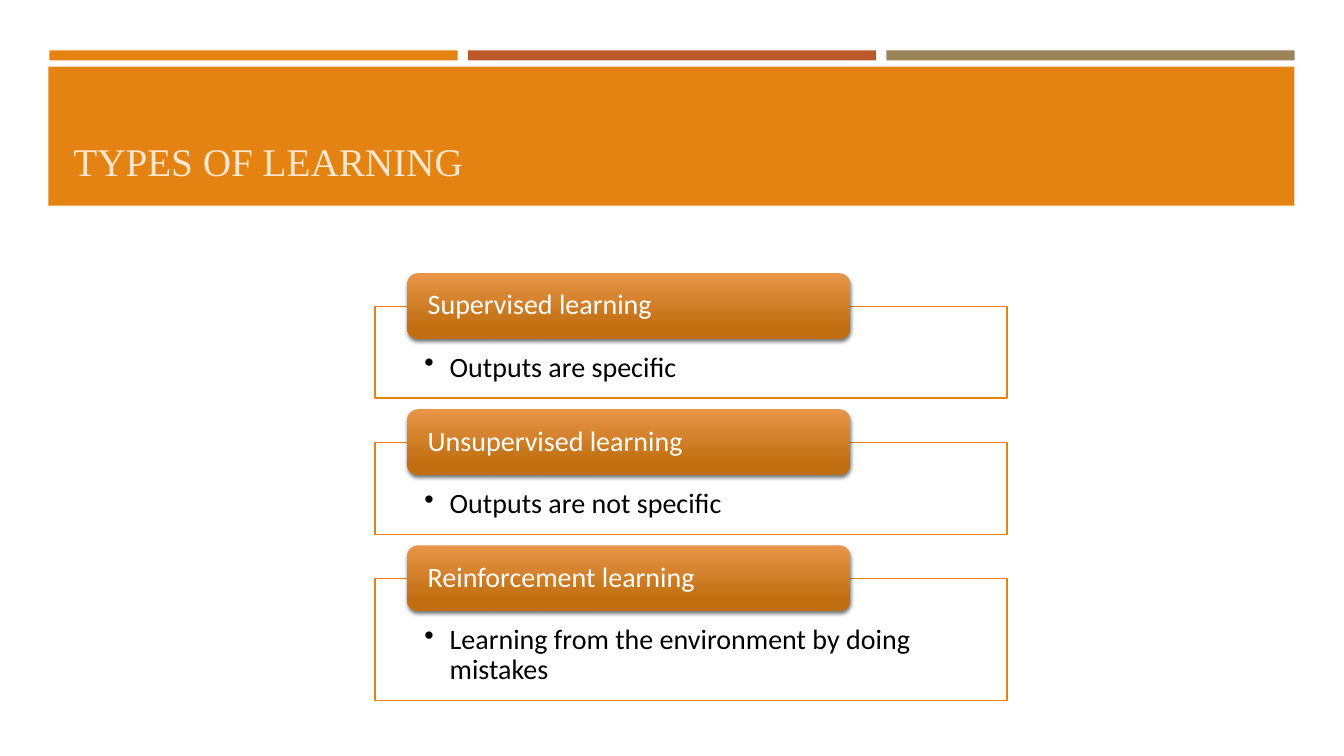
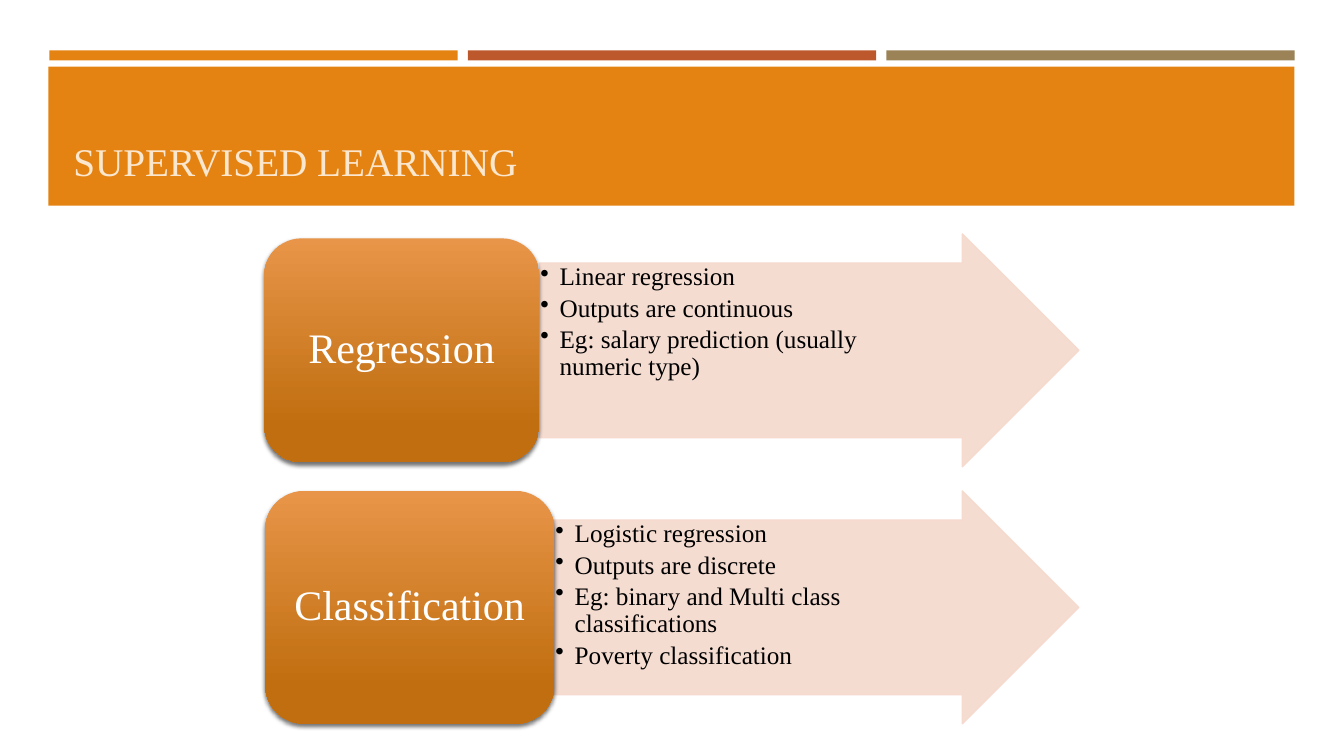
"""Build two slides on the types of machine learning."""
from dataclasses import dataclass

from lxml import etree
from pptx import Presentation
from pptx import util as u
from pptx.dml.color import RGBColor
from pptx.enum import shapes, text
from pptx.oxml.ns import qn
from pptx.shapes.autoshape import Shape
from pptx.slide import Slide

COLORS = {
    "orange": "E48312",
    "rust": "BD582C",
    "olive": "9B8357",
    "cream": "FBE6CE",
    "light": "E89549",
    "dark": "C06E0F",
    "blush": "F5D9CC",
    "white": "FFFFFF",
    "black": "000000",
}
SERIF, SANS = "Times New Roman", "Calibri"
KIND = shapes.MSO_SHAPE
ANCHOR = text.MSO_ANCHOR
ALIGN = text.PP_ALIGN


@dataclass(frozen=True)
class Area:
    left: float
    top: float
    width: float
    height: float

    def lengths(self) -> list[u.Length]:
        return [u.Inches(v) for v in (self.left, self.top, self.width, self.height)]


@dataclass(frozen=True)
class TextStyle:
    font: str
    size: int
    color: str
    insets: tuple[float, float, float, float] = (0.1, 0.05, 0.1, 0.05)
    anchor: ANCHOR = ANCHOR.TOP
    align: ALIGN = ALIGN.LEFT
    spacing: float = 0.9
    after: int = 0
    indent: float = 0


@dataclass(frozen=True)
class LearningType:
    name: str
    detail: str
    height: float


@dataclass(frozen=True)
class Method:
    name: str
    points: tuple[str, ...]
    block_left: float
    block_width: float
    block_height: float


TITLE = TextStyle(SERIF, 28, "cream", anchor=ANCHOR.BOTTOM, spacing=1)
TAB = TextStyle(SANS, 20, "white", (0.17, 0, 0.17, 0), ANCHOR.MIDDLE)
DETAIL = TextStyle(SANS, 20, "black", (0.49, 0.46, 0.49, 0.16), indent=0.25)
BLOCK = TextStyle(SERIF, 30, "white", (0.12, 0.06, 0.12, 0.06), ANCHOR.MIDDLE, ALIGN.CENTER)
POINTS = TextStyle(SERIF, 18, "black", (0.01, 0.01, 0.58, 0.01), after=3, indent=0.19)

LEARNING_TYPES = (
    LearningType("Supervised learning", "Outputs are specific", 0.91),
    LearningType("Unsupervised learning", "Outputs are not specific", 0.91),
    LearningType("Reinforcement learning", "Learning from the environment by doing mistakes", 1.21),
)
METHODS = (
    Method(
        "Regression",
        ("Linear regression", "Outputs are continuous", "Eg: salary prediction (usually numeric type)"),
        2.62, 2.73, 2.22,
    ),
    Method(
        "Classification",
        (
            "Logistic regression",
            "Outputs are discrete",
            "Eg: binary and Multi class classifications",
            "Poverty classification",
        ),
        2.63, 2.87, 2.31,
    ),
)


def rgb(name: str) -> RGBColor:
    return RGBColor.from_string(COLORS[name])


def write(box: Shape, lines: tuple[str, ...], style: TextStyle) -> None:
    frame = box.text_frame
    frame.word_wrap = True
    frame.vertical_anchor = style.anchor
    frame.margin_left, frame.margin_top, frame.margin_right, frame.margin_bottom = (
        u.Inches(inset) for inset in style.insets
    )
    frame.text = "\n".join(lines)
    for para in frame.paragraphs:
        para.alignment = style.align
        para.line_spacing = style.spacing
        para.space_after = u.Pt(style.after)
        if style.indent:
            properties = para._p.get_or_add_pPr()
            properties.set("marL", str(u.Inches(style.indent)))
            properties.set("indent", str(-u.Inches(style.indent)))
            etree.SubElement(properties, qn("a:buChar"), char="•")
        para.font.name = style.font
        para.font.size = u.Pt(style.size)
        para.font.color.rgb = rgb(style.color)


def add_box(page: Slide, kind: KIND, area: Area, fill: str, line: str | None = None) -> Shape:
    box = page.shapes.add_shape(kind, *area.lengths())
    box.shadow.inherit = False
    box.fill.solid()
    box.fill.fore_color.rgb = rgb(fill)
    if line:
        box.line.color.rgb = rgb(line)
        box.line.width = u.Pt(1)
    else:
        box.line.fill.background()
    return box


def add_glossy_box(page: Slide, area: Area, label: str, style: TextStyle) -> None:
    box = add_box(page, KIND.ROUNDED_RECTANGLE, area, "dark")
    box.fill.gradient()
    box.fill.gradient_angle = 270
    for stop, color, position in zip(box.fill.gradient_stops, ("light", "dark"), (0, 0.84)):
        stop.color.rgb = rgb(color)
        stop.position = position
    effects = box._element.spPr.find(qn("a:effectLst"))
    shadow = etree.SubElement(
        effects, qn("a:outerShdw"), blurRad=str(u.Pt(3)), dist=str(u.Pt(2)), dir="5400000", rotWithShape="0"
    )
    tint = etree.SubElement(shadow, qn("a:srgbClr"), val=COLORS["black"])
    etree.SubElement(tint, qn("a:alpha"), val="55000")
    write(box, (label,), style)


def add_arrow(page: Slide, area: Area, points: tuple[str, ...]) -> None:
    arrow = add_box(page, KIND.RIGHT_ARROW, area, "blush", "blush")
    arrow.adjustments[0] = 0.75
    arrow.adjustments[1] = 0.5
    for color in arrow._element.spPr.iter(qn("a:srgbClr")):
        etree.SubElement(color, qn("a:alpha"), val="90000")
    write(arrow, points, POINTS)


def add_page(deck: Presentation, title: str) -> Slide:
    page = deck.slides.add_slide(deck.slide_layouts[6])
    for index, color in enumerate(("orange", "rust", "olive")):
        add_box(page, KIND.RECTANGLE, Area(0.49 + 4.15 * index, 0.5, 4.05, 0.1), color)
    add_box(page, KIND.RECTANGLE, Area(0.48, 0.66, 12.36, 1.38), "orange")
    write(page.shapes.add_textbox(*Area(0.63, 0.8, 12.06, 1.08).lengths()), (title,), TITLE)
    return page


def add_types_page(deck: Presentation) -> None:
    page = add_page(deck, "TYPES OF LEARNING")
    top = 3.04
    for item in LEARNING_TYPES:
        panel = add_box(page, KIND.RECTANGLE, Area(3.72, top, 6.27, item.height), "white", "orange")
        write(panel, (item.detail,), DETAIL)
        add_glossy_box(page, Area(4.04, top - 0.33, 4.39, 0.65), item.name, TAB)
        top += item.height + 0.44


def add_supervised_page(deck: Presentation) -> None:
    page = add_page(deck, "SUPERVISED LEARNING")
    arrow_height, arrow_right = 2.31, 10.7
    for index, method in enumerate(METHODS):
        top = 2.32 + 2.55 * index
        left = method.block_left + method.block_width
        add_arrow(page, Area(left, top, arrow_right - left, arrow_height), method.points)
        block_top = top + (arrow_height - method.block_height) / 2
        block = Area(method.block_left, block_top, method.block_width, method.block_height)
        add_glossy_box(page, block, method.name, BLOCK)


def main() -> None:
    deck = Presentation()
    deck.slide_width, deck.slide_height = u.Inches(13.33), u.Inches(7.5)
    add_types_page(deck)
    add_supervised_page(deck)
    deck.save("out.pptx")


if __name__ == "__main__":
    main()
